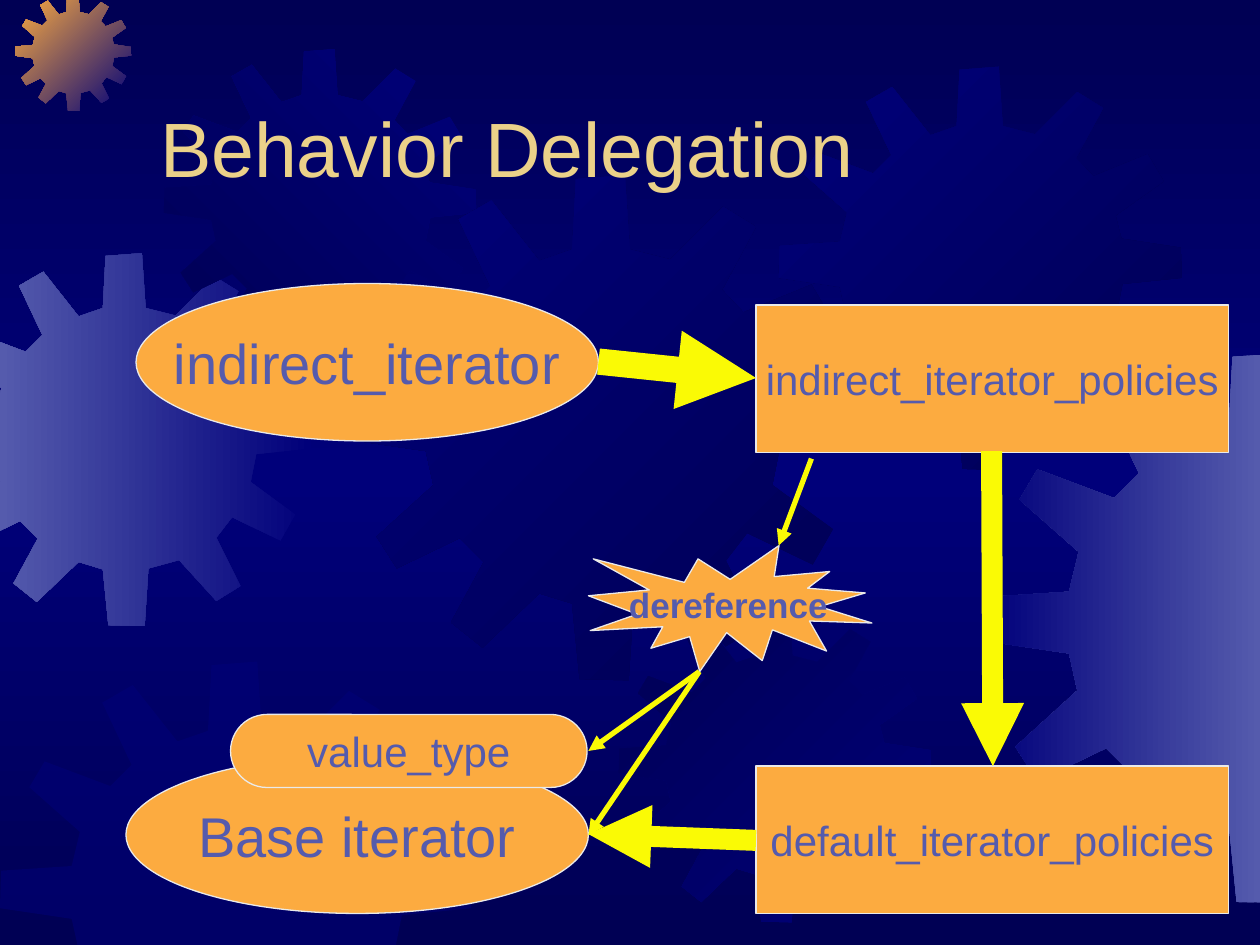
from copy import deepcopy

from lxml import etree
from pptx import Presentation
from pptx.dml.color import RGBColor
from pptx.enum import shapes, text
from pptx.oxml.ns import qn
from pptx.util import Inches, Pt

NIGHT = RGBColor(0x00, 0x00, 0x54)
NAVY = RGBColor(0x00, 0x00, 0x7A)
PERIWINKLE = RGBColor(0x55, 0x5B, 0xAD)
ORANGE = RGBColor(0xFC, 0xAB, 0x40)
SAND = RGBColor(0xEB, 0xD1, 0x89)
PALE = RGBColor(0xEA, 0xEA, 0xEA)
YELLOW = RGBColor(0xFA, 0xFA, 0x05)
FONT = "Arial"
WIDTH, HEIGHT = 10, 7.5

TITLE = "Behavior Delegation"

GEAR_SPAN = 401
GEAR = [
    (255, 67), (223, 59), (219, 0), (180, 3), (177, 59), (151, 68),
    (113, 20), (87, 35), (112, 88), (94, 106), (38, 85), (25, 107),
    (68, 145), (61, 174), (1, 178), (0, 210), (61, 219), (67, 246),
    (22, 287), (38, 312), (88, 288), (107, 307), (81, 355), (106, 375),
    (151, 332), (177, 340), (183, 400), (222, 401), (226, 339), (259, 330),
    (299, 374), (325, 358), (299, 306), (316, 284), (368, 309), (384, 281),
    (336, 246), (342, 216), (401, 210), (400, 180), (341, 171), (335, 148),
    (383, 114), (367, 87), (313, 109), (296, 91), (323, 41), (297, 25),
]

# left, top, size, gradient start, gradient end, counterclockwise angle
GEARS = [
    (-0.49, 2.01, 2.96, NAVY, PERIWINKLE, 180),
    (0.12, -0.04, 0.92, NAVY, ORANGE, 135),
    (1.3, 0.39, 2.48, NAVY, NIGHT, 225),
    (2.77, 1.39, 4.01, NIGHT, NAVY, 135),
    (0, 5.25, 3.74, NAVY, None, None),
    (4.91, 4.84, 2.48, NAVY, NIGHT, 135),
    (6.18, 0.53, 3.2, NIGHT, NAVY, 135),
    (7.82, 2.8, 4.37, PERIWINKLE, NAVY, 180),
]

MSO = shapes.MSO_SHAPE
NODES = [
    ("indirect_iterator", MSO.OVAL, 1.08, 2.25, 3.67, 1.25, 32, False),
    ("Base iterator", MSO.OVAL, 1, 6, 3.67, 1.25, 32, False),
    ("indirect_iterator_policies", MSO.RECTANGLE, 6, 2.42, 3.75, 1.17, 24, False),
    ("default_iterator_policies", MSO.RECTANGLE, 6, 6.08, 3.75, 1.17, 24, False),
    ("value_type", MSO.ROUNDED_RECTANGLE, 1.83, 5.67, 2.83, 0.58, 24, False),
    ("dereference", MSO.EXPLOSION1, 4.67, 4.33, 2.25, 1, 20, True),
]

ARROWS = [
    ((4.75, 2.87), (6, 3), 15),
    ((7.87, 3.58), (7.88, 6.08), 12),
    ((6.44, 3.64), (6.18, 4.33), 3),
    ((5.55, 5.33), (4.67, 5.96), 3),
    ((5.55, 5.33), (4.67, 6.63), 3),
    ((6, 6.67), (4.67, 6.62), 12),
]


def clip(points, axis, limit, sign):
    kept = []
    for a, b in zip(points, points[1:] + points[:1]):
        da, db = sign * (a[axis] - limit), sign * (b[axis] - limit)
        if da >= 0:
            kept.append(a)
        if da * db < 0:
            t = da / (da - db)
            kept.append(tuple(m + t * (n - m) for m, n in zip(a, b)))
    return kept


def set_gradient(fill, start, end, angle):
    fill.gradient()
    fill.gradient_angle = angle
    for stop, color in zip(fill.gradient_stops, (start, end)):
        stop.color.rgb = color


def add_gear(s, left, top, size, start, end, angle):
    k = size / GEAR_SPAN
    points = [(left + x * k, top + y * k) for x, y in GEAR]
    for axis, limit, sign in ((0, 0, 1), (0, WIDTH, -1), (1, 0, 1), (1, HEIGHT, -1)):
        points = clip(points, axis, limit, sign)
    points = [(Inches(x), Inches(y)) for x, y in points]
    builder = s.shapes.build_freeform(*points[0])
    builder.add_line_segments(points[1:], close=True)
    sp = builder.convert_to_shape()
    sp.shadow.inherit = False
    sp.line.fill.background()
    if end is None:
        sp.fill.solid()
        sp.fill.fore_color.rgb = start
        color = sp.element.spPr.find(qn("a:solidFill"))[0]
        etree.SubElement(color, qn("a:alpha"), val="50000")
    else:
        set_gradient(sp.fill, start, end, angle)


def set_font(p, size, color, bold=False):
    for r in p.runs:
        r.font.name = FONT
        r.font.size = Pt(size)
        r.font.bold = bold
        r.font.color.rgb = color


def add_node(s, label, kind, left, top, width, height, size, bold):
    sp = s.shapes.add_shape(kind, *map(Inches, (left, top, width, height)))
    sp.shadow.inherit = False
    if kind == MSO.ROUNDED_RECTANGLE:
        sp.adjustments[0] = 0.5
    sp.fill.solid()
    sp.fill.fore_color.rgb = ORANGE
    sp.line.color.rgb = PALE
    sp.line.width = Pt(0.75)
    tf = sp.text_frame
    tf.text = label
    tf.word_wrap = False
    tf.vertical_anchor = text.MSO_ANCHOR.MIDDLE
    p = tf.paragraphs[0]
    p.alignment = text.PP_ALIGN.CENTER
    set_font(p, size, PERIWINKLE, bold)


def add_arrow(s, start, end, width):
    line = s.shapes.add_connector(
        shapes.MSO_CONNECTOR.STRAIGHT, *map(Inches, start + end))
    line.line.color.rgb = YELLOW
    line.line.width = Pt(width)
    spPr = line.element.spPr
    etree.SubElement(spPr.find(qn("a:ln")), qn("a:tailEnd"), type="triangle")
    etree.SubElement(spPr, qn("a:effectLst"))


def set_background(s):
    fill = s.background.fill
    set_gradient(fill, NIGHT, NIGHT, 270)
    stops = s.element.find(".//" + qn("a:gsLst"))
    stops.insert(1, deepcopy(stops[0]))
    middle = fill.gradient_stops[1]
    middle.position = 0.5
    middle.color.rgb = NAVY


def set_title(s):
    sp = s.shapes.title
    sp.element.getparent().append(sp.element)
    sp.left, sp.top, sp.width, sp.height = map(Inches, (1.17, 0.33, 8.5, 1.25))
    tf = sp.text_frame
    tf.text = TITLE
    tf.word_wrap = True
    tf.auto_size = text.MSO_AUTO_SIZE.NONE
    tf.vertical_anchor = text.MSO_ANCHOR.BOTTOM
    p = tf.paragraphs[0]
    p.alignment = text.PP_ALIGN.LEFT
    set_font(p, 44, SAND)


def main():
    prs = Presentation()
    prs.slide_width, prs.slide_height = Inches(WIDTH), Inches(HEIGHT)
    s = prs.slides.add_slide(prs.slide_layouts[5])
    set_background(s)
    for gear in GEARS:
        add_gear(s, *gear)
    set_title(s)
    for node in NODES:
        add_node(s, *node)
    for arrow in ARROWS:
        add_arrow(s, *arrow)
    prs.save("out.pptx")


if __name__ == "__main__":
    main()
